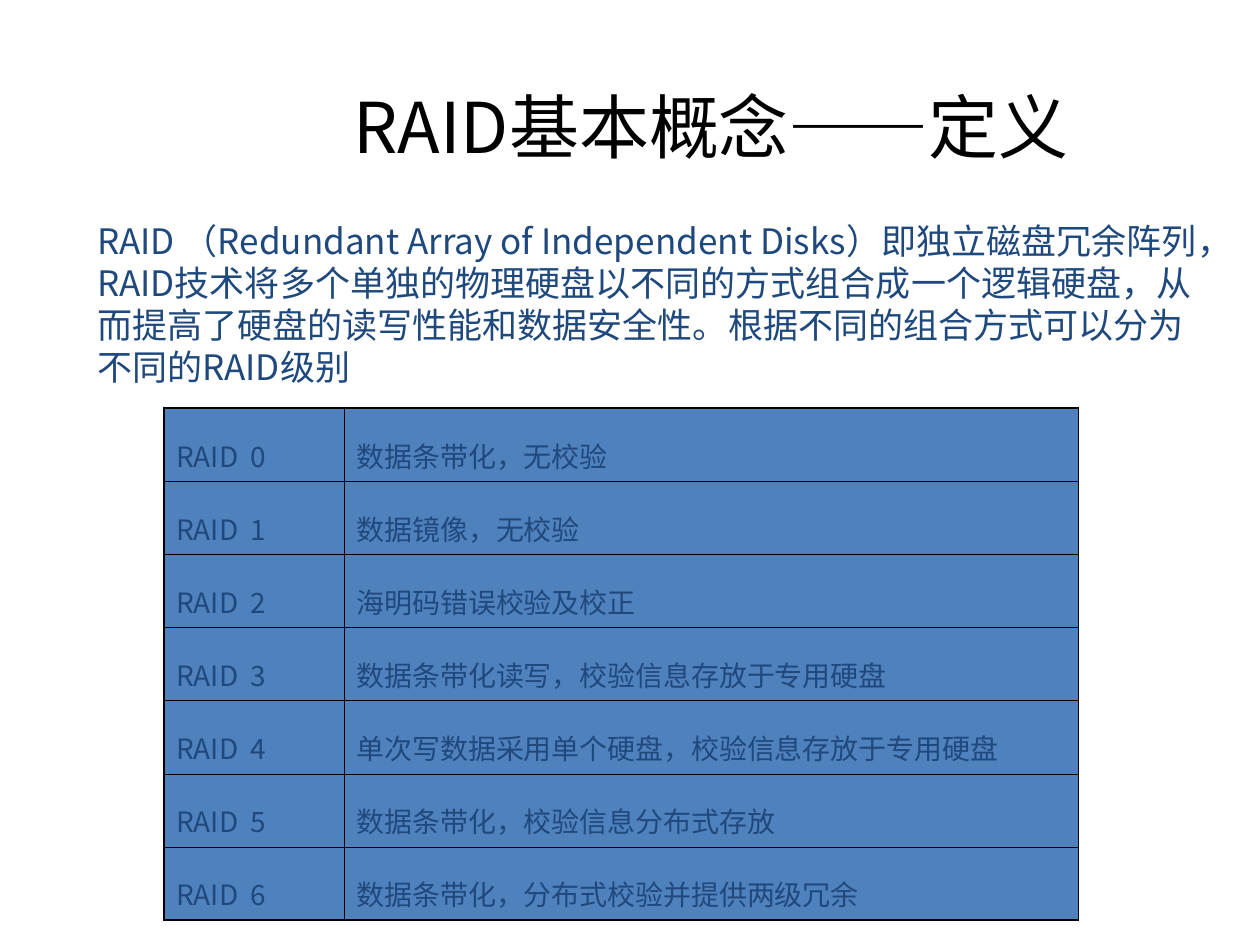
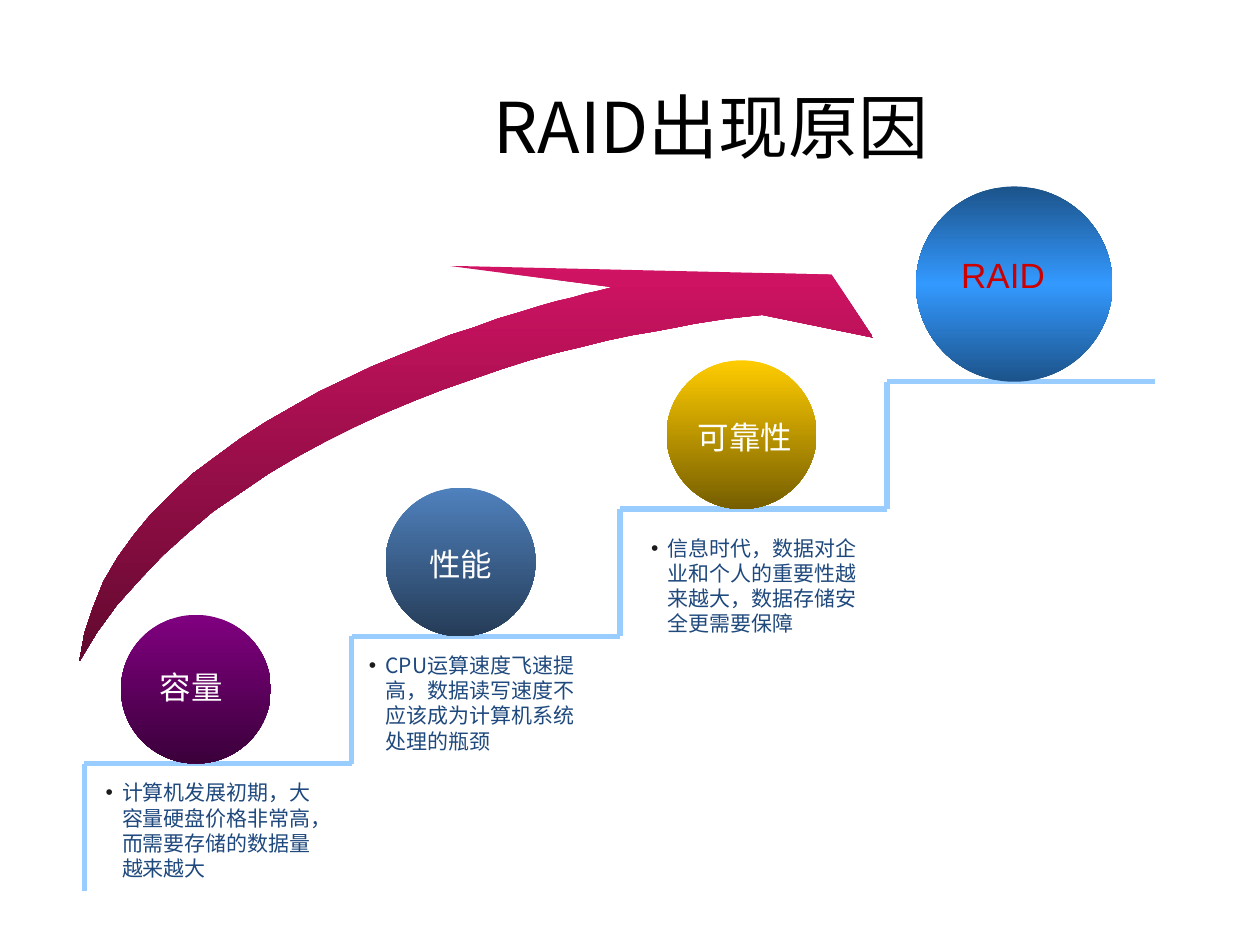
"""Build two slides on RAID: its definition and the reasons it appeared."""
from dataclasses import dataclass

from lxml import etree
from pptx import Presentation
from pptx.dml.color import RGBColor
from pptx.enum import shapes, text
from pptx.oxml import ns
from pptx.util import Emu, Length, Pt

SCALE = 9144


@dataclass(frozen=True)
class Theme:
    """Colours, fonts and type sizes of the deck."""
    black: str = "000000"
    white: str = "FFFFFF"
    navy: str = "1F497D"
    blue: str = "4F81BD"
    bullet: str = "1C1C1C"
    stair: str = "99CCFF"
    goal_text: str = "CC0000"
    purple_ball: tuple[str, ...] = ("800080", "3B003B")
    blue_ball: tuple[str, ...] = ("4F81BD", "253C57")
    gold_ball: tuple[str, ...] = ("FFCC00", "765E00")
    goal_ball: tuple[str, ...] = ("1C538A", "3399FF", "1C538A")
    arrow: tuple[str, ...] = ("D11364", "61092E")
    cjk: str = "Noto Sans CJK SC"
    latin: str = "Arial"
    dash: str = "Calibri"
    title_size: int = 40
    body_size: int = 20
    label_size: int = 18
    cell_size: int = 16
    caption_size: int = 12
    leading: float = 1.2
    cell_leading: float = 1.5
    outer_line: float = 1.08
    inner_line: float = 0.45
    stair_line: int = 3


THEME = Theme()


@dataclass(frozen=True)
class Area:
    """A rectangle in px."""
    left: int
    top: int
    width: int
    height: int

    def emu(self) -> tuple[Length, ...]:
        """Return the four lengths in EMU."""
        return tuple(px(n) for n in (self.left, self.top, self.width, self.height))


@dataclass(frozen=True)
class Ball:
    """A gradient circle with its label."""
    area: Area
    colours: tuple[str, ...]
    label: str
    label_area: Area
    size: int = THEME.label_size
    colour: str = THEME.white


@dataclass(frozen=True)
class Caption:
    """A bulleted note under a stair."""
    area: Area
    words: str
    font: str = THEME.cjk


TITLE_AREA = Area(153, 68, 847, 63)
DEFINITION_AREA = Area(67, 169, 898, 144)
DEFINITION = (
    "RAID （Redundant Array of Independent Disks）即独立磁盘冗余阵列，"
    "RAID技术将多个单独的物理硬盘以不同的方式组合成一个逻辑硬盘，"
    "从而提高了硬盘的读写性能和数据安全性。根据不同的组合方式可以分为不同的RAID级别"
)
LEVELS = (
    "数据条带化，无校验",
    "数据镜像，无校验",
    "海明码错误校验及校正",
    "数据条带化读写，校验信息存放于专用硬盘",
    "单次写数据采用单个硬盘，校验信息存放于专用硬盘",
    "数据条带化，校验信息分布式存放",
    "数据条带化，分布式校验并提供两级冗余",
)
LEVEL_COLUMNS = (143, 583)
LEVEL_ROW = 58

BALLS = (
    Ball(Area(96, 488, 119, 118), THEME.purple_ball, "容量", Area(117, 525, 99, 40)),
    Ball(Area(306, 387, 119, 118), THEME.blue_ball, "性能", Area(331, 428, 99, 40)),
    Ball(Area(529, 286, 119, 118), THEME.gold_ball, "可靠性", Area(544, 327, 99, 40)),
    Ball(Area(727, 148, 156, 155), THEME.goal_ball, "RAID", Area(753, 196, 138, 44),
         THEME.body_size, THEME.goal_text),
)
CAPTIONS = (
    Caption(Area(74, 614, 198, 135),
            "计算机发展初期，大容量硬盘价格非常高，而需要存储的数据量越来越大", THEME.latin),
    Caption(Area(283, 513, 198, 113),
            "CPU运算速度飞速提高，数据读写速度不应该成为计算机系统处理的瓶颈"),
    Caption(Area(507, 420, 198, 90),
            "信息时代，数据对企业和个人的重要性越来越大，数据存储安全更需要保障"),
)
ARROW_POINTS = (
    (63, 525), (67, 503), (74, 482), (82, 462), (93, 443), (106, 425), (120, 408),
    (136, 392), (153, 376), (172, 362), (191, 348), (211, 335), (232, 323), (253, 311),
    (274, 301), (295, 291), (317, 282), (337, 274), (357, 266), (376, 260), (395, 253),
    (412, 248), (428, 243), (442, 239), (455, 236), (465, 233), (474, 231), (486, 228),
    (356, 211), (660, 218), (693, 268), (605, 250),
    (595, 251), (577, 253), (551, 257), (536, 260), (520, 263), (502, 266), (483, 270),
    (463, 275), (442, 280), (420, 286), (398, 293), (375, 301), (352, 309), (329, 318),
    (305, 328), (281, 339), (259, 350), (235, 363), (213, 376), (191, 391), (169, 406),
    (149, 423), (129, 441), (111, 460), (93, 480), (77, 502),
)
STAIR_COUNT = 4
STAIR_LEFT, STAIR_BOTTOM = 67, 707
STAIR_SPAN, STAIR_RISE = 850, 101


def px(length: float) -> Length:
    """Turn px into EMU."""
    return Emu(round(length * SCALE))


def add_element(parent, tag: str, **attributes: str):
    """Append a DrawingML element."""
    return etree.SubElement(parent, ns.qn(tag), attributes)


def write(para, words: str, *, size: int, colour: str, font: str = THEME.cjk,
          leading: float | Length | None = None) -> None:
    """Append a formatted span to a paragraph."""
    if leading is not None:
        para.line_spacing = leading
    span = para.add_run()
    span.text = words
    span.font.size = Pt(size)
    span.font.name = font
    span.font.color.rgb = RGBColor.from_string(colour)
    add_element(span.font._element, "a:ea", typeface=THEME.cjk)


def fixed_leading(size: int) -> Length:
    """Return the exact line height for a type size."""
    return Pt(size * THEME.leading)


def add_box(page, area: Area):
    """Add a wrapping text box and return its first paragraph."""
    box = page.shapes.add_textbox(*area.emu())
    box.text_frame.word_wrap = True
    return box.text_frame.paragraphs[0]


def place(box, area: Area) -> None:
    """Move a placeholder and stop it from resizing its text."""
    box.left, box.top, box.width, box.height = area.emu()
    box.text_frame.auto_size = text.MSO_AUTO_SIZE.NONE


def add_title(page, *spans: tuple[str, str]) -> None:
    """Fill the title with pairs of words and font."""
    box = page.shapes.title
    place(box, TITLE_AREA)
    box.text_frame.vertical_anchor = text.MSO_ANCHOR.MIDDLE
    box.text_frame.margin_right = px(34)
    para = box.text_frame.paragraphs[0]
    para.alignment = text.PP_ALIGN.CENTER
    for words, font in spans:
        write(para, words, size=THEME.title_size, colour=THEME.black, font=font)


def fill_gradient(shape, colours: tuple[str, ...]) -> None:
    """Fill a shape from top to bottom with evenly spaced colours."""
    shape.shadow.inherit = False
    shape.line.fill.background()
    shape.fill.gradient()
    shape.fill.gradient_angle = 270
    stops = shape.element.spPr.find(".//" + ns.qn("a:gsLst"))
    for stop in list(stops):
        stops.remove(stop)
    for index, colour in enumerate(colours):
        position = 100000 * index // (len(colours) - 1)
        stop = add_element(stops, "a:gs", pos=str(position))
        add_element(stop, "a:srgbClr", val=colour)


def add_border(cell, side: str, width: float) -> None:
    """Draw one side of a cell."""
    line = add_element(cell._tc.get_or_add_tcPr(), f"a:ln{side}", w=str(Pt(width)))
    add_element(add_element(line, "a:solidFill"), "a:srgbClr", val=THEME.black)


def add_levels(page) -> None:
    """Add the table of RAID levels."""
    area = Area(130, 324, sum(LEVEL_COLUMNS), LEVEL_ROW * len(LEVELS))
    table = page.shapes.add_table(len(LEVELS), len(LEVEL_COLUMNS), *area.emu()).table
    table.first_row = table.horz_banding = False
    for column, width in zip(table.columns, LEVEL_COLUMNS):
        column.width = px(width)
    last_row, last_column = len(LEVELS) - 1, len(LEVEL_COLUMNS) - 1
    for row, meaning in enumerate(LEVELS):
        for column, words in enumerate((f"RAID  {row}", meaning)):
            cell = table.cell(row, column)
            outer = {"L": column == 0, "R": column == last_column,
                     "T": row == 0, "B": row == last_row}
            for side, is_outer in outer.items():
                add_border(cell, side, THEME.outer_line if is_outer else THEME.inner_line)
            cell.fill.solid()
            cell.fill.fore_color.rgb = RGBColor.from_string(THEME.blue)
            write(cell.text_frame.paragraphs[0], words, size=THEME.cell_size,
                  colour=THEME.navy, leading=THEME.cell_leading)


def add_ball(page, ball: Ball) -> None:
    """Add a ball and its label."""
    circle = page.shapes.add_shape(shapes.MSO_SHAPE.OVAL, *ball.area.emu())
    fill_gradient(circle, ball.colours)
    write(add_box(page, ball.label_area), ball.label, size=ball.size, colour=ball.colour,
          font=THEME.latin, leading=fixed_leading(ball.size))


def add_caption(page, caption: Caption) -> None:
    """Add a bulleted caption."""
    para = add_box(page, caption.area)
    para.line_spacing = fixed_leading(THEME.caption_size)
    properties = para._p.get_or_add_pPr()
    properties.set("marL", str(px(13)))
    properties.set("indent", str(px(-13)))
    add_element(add_element(properties, "a:buClr"), "a:srgbClr", val=THEME.bullet)
    add_element(properties, "a:buFont", typeface=THEME.latin)
    add_element(properties, "a:buChar", char="•")
    write(para, caption.words, size=THEME.caption_size, colour=THEME.navy, font=caption.font)


def add_line(page, start: tuple[int, int], end: tuple[int, int]) -> None:
    """Add one straight piece of the staircase."""
    line = page.shapes.add_connector(shapes.MSO_CONNECTOR.STRAIGHT,
                                     *(px(n) for n in (*start, *end)))
    line.line.color.rgb = RGBColor.from_string(THEME.stair)
    line.line.width = Pt(THEME.stair_line)
    add_element(line._element.spPr, "a:effectLst")


def add_stairs(page) -> None:
    """Add the risers and treads at equal steps."""
    for step in range(STAIR_COUNT):
        left, right = (STAIR_LEFT + STAIR_SPAN * n // STAIR_COUNT for n in (step, step + 1))
        bottom = STAIR_BOTTOM - STAIR_RISE * step
        top = bottom - STAIR_RISE
        add_line(page, (left, bottom), (left, top))
        add_line(page, (right, top), (left, top))


def add_arrow(page) -> None:
    """Add the curved rising arrow."""
    builder = page.shapes.build_freeform(*ARROW_POINTS[0], scale=SCALE)
    builder.add_line_segments(ARROW_POINTS[1:], close=True)
    fill_gradient(builder.convert_to_shape(), THEME.arrow)


def build_definition(deck) -> None:
    """Build the slide that defines RAID."""
    page = deck.slides.add_slide(deck.slide_layouts[1])
    add_title(page, ("RAID基本概念", THEME.cjk), ("——", THEME.dash), ("定义", THEME.cjk))
    add_levels(page)
    body = page.placeholders[1]
    place(body, DEFINITION_AREA)
    para = body.text_frame.paragraphs[0]
    para.space_before = Pt(0)
    para.line_spacing = fixed_leading(THEME.body_size)
    properties = para._p.get_or_add_pPr()
    properties.set("marL", "0")
    properties.set("indent", "0")
    add_element(properties, "a:buNone")
    write(para, DEFINITION, size=THEME.body_size, colour=THEME.navy)


def build_reasons(deck) -> None:
    """Build the slide that shows why RAID appeared."""
    page = deck.slides.add_slide(deck.slide_layouts[5])
    add_title(page, ("RAID出现原因", THEME.cjk))
    add_arrow(page)
    add_stairs(page)
    for ball in BALLS:
        add_ball(page, ball)
    for caption in CAPTIONS:
        add_caption(page, caption)


def main() -> None:
    """Build and save the deck."""
    deck = Presentation()
    deck.slide_width, deck.slide_height = px(1000), px(750)
    build_definition(deck)
    build_reasons(deck)
    deck.save("out.pptx")


if __name__ == "__main__":
    main()
